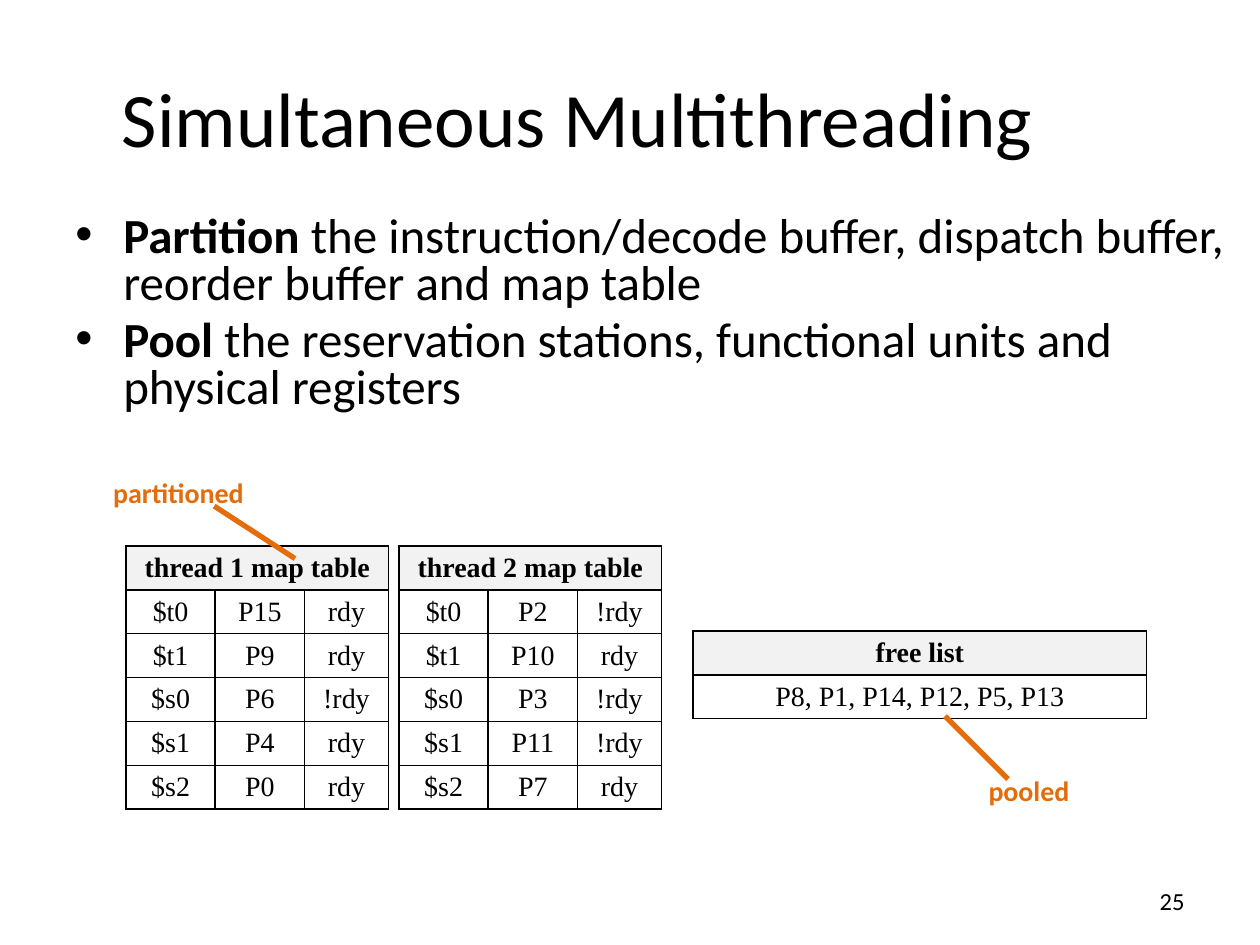
import pptx
import pptx.util
import pptx.dml.color
import pptx.enum.shapes
import pptx.enum.text
import pptx.oxml.ns
from lxml import etree

ALIGN = pptx.enum.text.PP_ALIGN
ANCHOR = pptx.enum.text.MSO_ANCHOR
qn = pptx.oxml.ns.qn

THEME = {
    "ink": "000000", "accent": "E46C0A", "header": "F2F2F2", "cell": "FFFFFF",
    "title": {"name": "Calibri", "size": 44},
    "body": {"name": "Calibri", "size": 28},
    "label": {"name": "Calibri", "size": 16, "bold": True},
    "table": {"name": "Times New Roman", "size": 16},
    "number": {"name": "Calibri", "size": 14},
    "border": 1, "pointer": 3,
}

COLUMNS, ROWS = 120, 90
SLIDE_WIDTH, SLIDE_HEIGHT = pptx.util.Inches(10), pptx.util.Inches(7.5)

TITLE = ("Simultaneous Multithreading", (6, 3.6, 98, 15))
NUMBER = ("25", (100, 83.4, 14, 4.8))
BULLETS = [
    ("Partition", " the instruction/decode buffer, dispatch buffer, reorder buffer and map table"),
    ("Pool", " the reservation stations, functional units and physical registers"),
]
BULLET_BOX = (6, 20, 112, 18)

MAP_COLUMNS = (8.5, 8.5, 8)
ROW_HEIGHT = 4.18
REGISTERS = ["$t0", "$t1", "$s0", "$s1", "$s2"]
THREADS = [
    ("thread 1 map table", ["P15", "P9", "P6", "P4", "P0"], ["rdy", "rdy", "!rdy", "rdy", "rdy"]),
    ("thread 2 map table", ["P2", "P10", "P3", "P11", "P7"], ["!rdy", "rdy", "!rdy", "!rdy", "rdy"]),
]
MAP_LEFT, MAP_TOP, MAP_STEP = 12, 52, 26
FREE_LIST = ("free list", [("P8, P1, P14, P12, P5, P13",)])
FREE_LEFT, FREE_TOP, FREE_COLUMNS = 66, 60.1, (43.2,)

CALLOUTS = [
    ("partitioned", (-7, 43.2, 48, 7.3), (28.1, 53.2), (20.4, 48.2)),
    ("pooled", (74, 71.6, 48, 7.3), (96, 74.2), (90, 68.2)),
]


def across(units):
    return round(SLIDE_WIDTH * units / COLUMNS)


def down(units):
    return round(SLIDE_HEIGHT * units / ROWS)


def color(value):
    return pptx.dml.color.RGBColor.from_string(value)


def set_all(target, values):
    for name, value in values.items():
        setattr(target, name, value)


def add_run(paragraph, text, style, ink=THEME["ink"], bold=False):
    run = paragraph.add_run()
    run.text = text
    set_all(run.font, {"bold": bold, **style, "size": pptx.util.Pt(style["size"])})
    run.font.color.rgb = color(ink)


def add_box(slide, box, anchor=ANCHOR.MIDDLE):
    left, top, width, height = box
    shape = slide.shapes.add_textbox(across(left), down(top), across(width), down(height))
    set_all(shape.text_frame, {"word_wrap": True, "vertical_anchor": anchor})
    return shape.text_frame


def add_text(slide, text, box, style, alignment, ink=THEME["ink"]):
    paragraph = add_box(slide, box).paragraphs[0]
    paragraph.alignment = alignment
    add_run(paragraph, text, style, ink)


def add_bullets(slide):
    frame = add_box(slide, BULLET_BOX, ANCHOR.TOP)
    indent = pptx.util.Inches(0.38)
    for index, (keyword, rest) in enumerate(BULLETS):
        paragraph = frame.add_paragraph() if index else frame.paragraphs[0]
        properties = paragraph._p.get_or_add_pPr()
        properties.set("marL", str(indent))
        properties.set("indent", str(-indent))
        etree.SubElement(properties, qn("a:buFont"), typeface="Arial")
        etree.SubElement(properties, qn("a:buChar"), char="•")
        paragraph.line_spacing = 0.8
        if index:
            paragraph.space_before = pptx.util.Pt(0.2 * THEME["body"]["size"])
        add_run(paragraph, keyword, THEME["body"], bold=True)
        add_run(paragraph, rest, THEME["body"])


def add_borders(cell):
    properties = cell._tc.get_or_add_tcPr()
    for index, side in enumerate(("lnL", "lnR", "lnT", "lnB")):
        line = etree.Element(qn("a:" + side), w=str(pptx.util.Pt(THEME["border"])))
        fill = etree.SubElement(line, qn("a:solidFill"))
        etree.SubElement(fill, qn("a:srgbClr"), val=THEME["ink"])
        properties.insert(index, line)


def add_table(slide, left, top, widths, heading, rows):
    count = len(rows) + 1
    table = slide.shapes.add_table(
        count, len(widths), across(left), down(top),
        across(sum(widths)), down(count * ROW_HEIGHT)).table
    for column, width in zip(table.columns, widths):
        column.width = across(width)
    for row in table.rows:
        row.height = down(ROW_HEIGHT)
    if len(widths) > 1:
        table.cell(0, 0).merge(table.cell(0, len(widths) - 1))
    header = (heading,) + ("",) * (len(widths) - 1)
    margin = pptx.util.Inches(0.04)
    for row_index, values in enumerate([header] + rows):
        for column_index, text in enumerate(values):
            cell = table.cell(row_index, column_index)
            set_all(cell, {"vertical_anchor": ANCHOR.MIDDLE, "margin_left": margin,
                           "margin_right": margin, "margin_top": margin, "margin_bottom": margin})
            cell.fill.solid()
            cell.fill.fore_color.rgb = color(THEME["cell" if row_index else "header"])
            add_borders(cell)
            if text:
                paragraph = cell.text_frame.paragraphs[0]
                paragraph.alignment = ALIGN.CENTER
                add_run(paragraph, text, THEME["table"], bold=row_index == 0)


def add_callout(slide, text, box, start, end):
    add_text(slide, text, box, THEME["label"], ALIGN.CENTER, THEME["accent"])
    pointer = slide.shapes.add_connector(
        pptx.enum.shapes.MSO_CONNECTOR.STRAIGHT,
        across(start[0]), down(start[1]), across(end[0]), down(end[1]))
    pointer.line.color.rgb = color(THEME["accent"])
    pointer.line.width = pptx.util.Pt(THEME["pointer"])
    etree.SubElement(pointer._element.spPr, qn("a:effectLst"))


def main():
    presentation = pptx.Presentation()
    set_all(presentation, {"slide_width": SLIDE_WIDTH, "slide_height": SLIDE_HEIGHT})
    slide = presentation.slides.add_slide(presentation.slide_layouts[6])
    add_text(slide, *TITLE, THEME["title"], ALIGN.CENTER)
    add_text(slide, *NUMBER, THEME["number"], ALIGN.RIGHT)
    add_bullets(slide)
    for index, (heading, physical, states) in enumerate(THREADS):
        rows = list(zip(REGISTERS, physical, states))
        add_table(slide, MAP_LEFT + index * MAP_STEP, MAP_TOP, MAP_COLUMNS, heading, rows)
    add_table(slide, FREE_LEFT, FREE_TOP, FREE_COLUMNS, *FREE_LIST)
    for callout in CALLOUTS:
        add_callout(slide, *callout)
    presentation.save("out.pptx")


if __name__ == "__main__":
    main()
